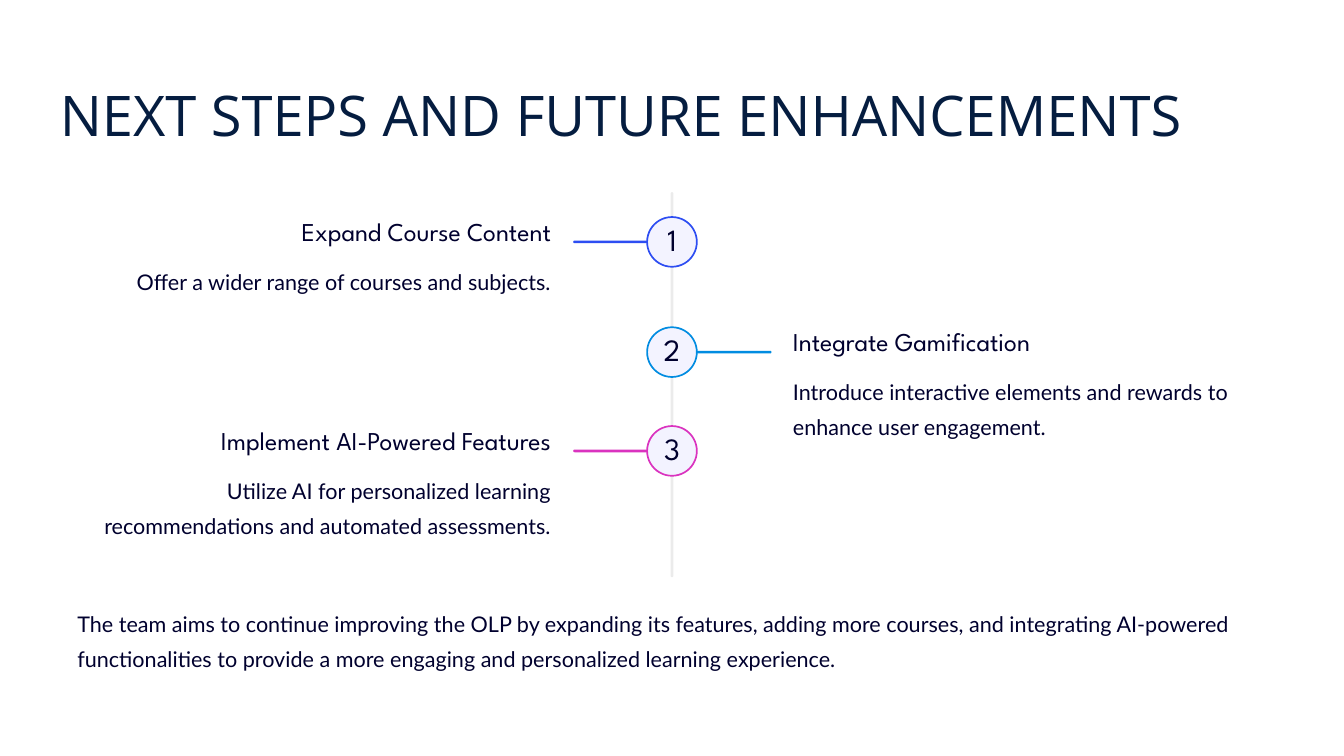
import pptx
import pptx.util
import pptx.dml.color
import pptx.enum.shapes
import pptx.enum.text
import pptx.oxml.ns
import lxml.etree
from pptx.util import Inches

RGBColor = pptx.dml.color.RGBColor
Align = pptx.enum.text.PP_ALIGN
Shape = pptx.enum.shapes.MSO_SHAPE

BLACK = RGBColor(0x00, 0x00, 0x00)
NAVY = RGBColor(0x05, 0x1D, 0x40)
INK = RGBColor(0x00, 0x00, 0x2E)
PALE = RGBColor(0xF3, 0xF3, 0xFF)
BLUE = RGBColor(0x2D, 0x4D, 0xF2)
AZURE = RGBColor(0x01, 0x8C, 0xE1)
MAGENTA = RGBColor(0xDA, 0x33, 0xBF)

CENTER = 10
CIRCLE = 0.74
BAR_LENGTH = 1.15
BAR_THICKNESS = 0.04
TEXT_WIDTH = 7.06
LEFT_TEXT_END = 8.2
RIGHT_TEXT_START = 11.8

STEPS = [
    (3.23, "left", BLUE, "Expand Course Content", 4.13,
     "Offer a wider range of courses and subjects.", 0.52),
    (4.87, "right", AZURE, "Integrate Gamification", 3.9,
     "Introduce interactive elements and rewards to enhance user engagement.", 1.05),
    (6.34, "left", MAGENTA, "Implement AI-Powered Features", 5.71,
     "Utilize AI for personalized learning recommendations and automated assessments.", 1.05),
]
CLOSING = (
    "The team aims to continue improving the OLP by expanding its features, "
    "adding more courses, and integrating AI-powered functionalities to provide "
    "a more engaging and personalized learning experience."
)


class TimelineSlide:
    heading_style = ("League Spartan", 27.5, 34.4, INK)
    number_style = ("League Spartan", 33.1, 33.1, INK)
    body_style = ("Lato", 23.1, 37.5, INK)
    title_style = ("Open Sans", 60, 102.5, NAVY)

    def __init__(self, slide):
        self.slide = slide

    def set_text(self, shape, text, style, align):
        font_name, size, spacing, color = style
        frame = shape.text_frame
        frame.margin_left = frame.margin_right = 0
        frame.margin_top = frame.margin_bottom = 0
        frame.word_wrap = True
        frame.auto_size = pptx.enum.text.MSO_AUTO_SIZE.NONE
        frame.vertical_anchor = pptx.enum.text.MSO_ANCHOR.TOP
        frame.text = text
        paragraph = frame.paragraphs[0]
        paragraph.alignment = align
        paragraph.line_spacing = pptx.util.Pt(spacing)
        font = paragraph.runs[0].font
        font.name = font_name
        font.size = pptx.util.Pt(size)
        font.color.rgb = color

    def title(self, text, left, top, width, height):
        shape = self.slide.shapes.title
        shape.left, shape.top = Inches(left), Inches(top)
        shape.width, shape.height = Inches(width), Inches(height)
        self.set_text(shape, text, self.title_style, Align.LEFT)

    def text(self, text, left, top, width, height, style, align=Align.LEFT):
        shape = self.slide.shapes.add_textbox(
            Inches(left), Inches(top), Inches(width), Inches(height))
        self.set_text(shape, text, style, align)

    def bar(self, left, top, width, height, color, opacity=100):
        shape = self.slide.shapes.add_shape(
            Shape.ROUNDED_RECTANGLE,
            Inches(left), Inches(top), Inches(width), Inches(height))
        shape.adjustments[0] = 0.5
        shape.shadow.inherit = False
        shape.fill.solid()
        shape.fill.fore_color.rgb = color
        shape.line.fill.background()
        if opacity < 100:
            color_element = shape.element.spPr.find(".//" + pptx.oxml.ns.qn("a:srgbClr"))
            alpha = lxml.etree.SubElement(color_element, pptx.oxml.ns.qn("a:alpha"))
            alpha.set("val", str(opacity * 1000))

    def circle(self, left, top, color):
        shape = self.slide.shapes.add_shape(
            Shape.OVAL, Inches(left), Inches(top), Inches(CIRCLE), Inches(CIRCLE))
        shape.shadow.inherit = False
        shape.fill.solid()
        shape.fill.fore_color.rgb = PALE
        shape.line.color.rgb = color
        shape.line.width = pptx.util.Pt(1.8)

    def step(self, number, top, side, color, heading, heading_width, body, body_height):
        if side == "left":
            bar_left, align = 8.53, Align.RIGHT
            heading_left = LEFT_TEXT_END - heading_width
            body_left = LEFT_TEXT_END - TEXT_WIDTH
        else:
            bar_left, align = 10.33, Align.LEFT
            heading_left = body_left = RIGHT_TEXT_START
        self.bar(bar_left, top + 0.35, BAR_LENGTH, BAR_THICKNESS, color)
        self.circle(CENTER - CIRCLE / 2, top, color)
        self.text(str(number), CENTER - 0.14, top + 0.14, 0.28, 0.46,
                  self.number_style, Align.CENTER)
        self.text(heading, heading_left, top - 0.04, heading_width, 0.48,
                  self.heading_style, align)
        self.text(body, body_left, top + 0.64, TEXT_WIDTH, body_height,
                  self.body_style, align)


def main():
    presentation = pptx.Presentation()
    presentation.slide_width = Inches(20)
    presentation.slide_height = Inches(11.25)
    timeline = TimelineSlide(presentation.slides.add_slide(presentation.slide_layouts[5]))
    timeline.title("NEXT STEPS AND FUTURE ENHANCEMENTS", 0.89, 0.78, 18.19, 1.29)
    timeline.bar(CENTER - BAR_THICKNESS / 2, 2.86, BAR_THICKNESS, 5.73, BLACK, opacity=8)
    for number, step in enumerate(STEPS, start=1):
        timeline.step(number, *step)
    timeline.text(CLOSING, 1.15, 8.96, 17.71, 1.05, timeline.body_style)
    presentation.save("out.pptx")


if __name__ == "__main__":
    main()
